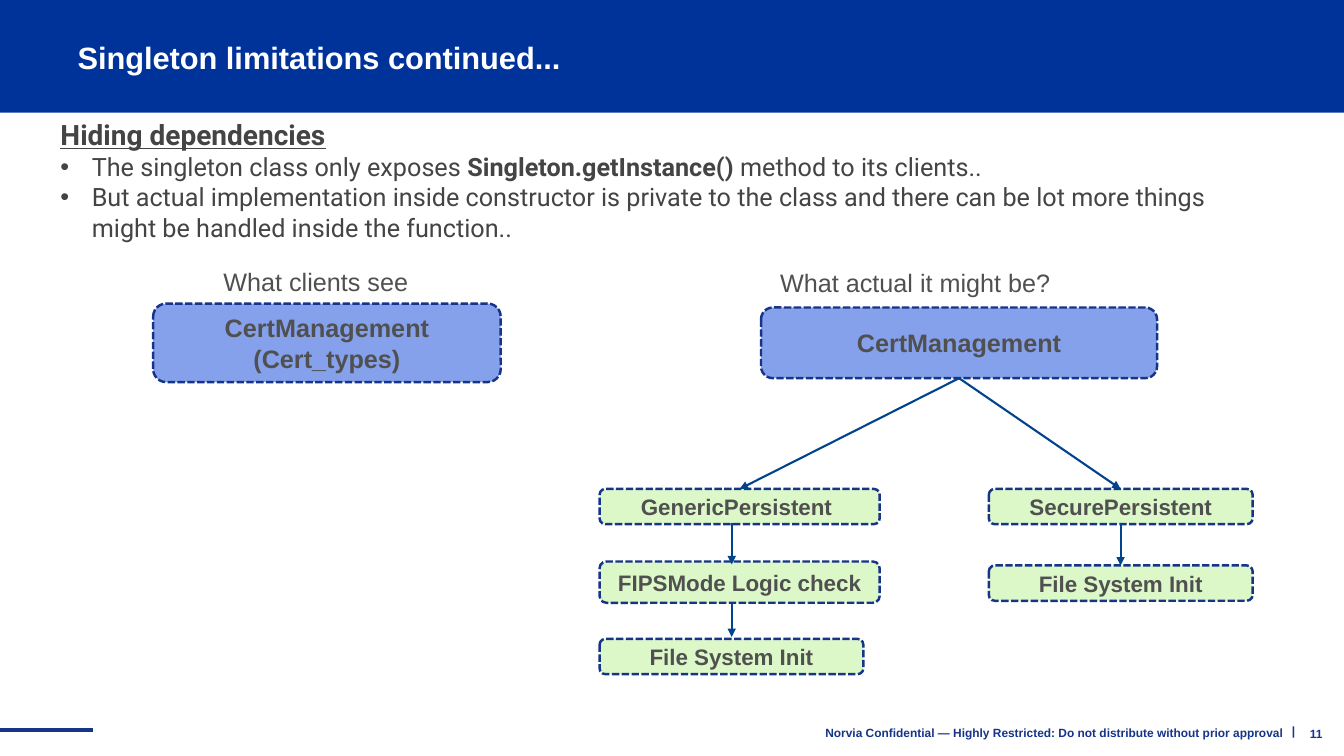
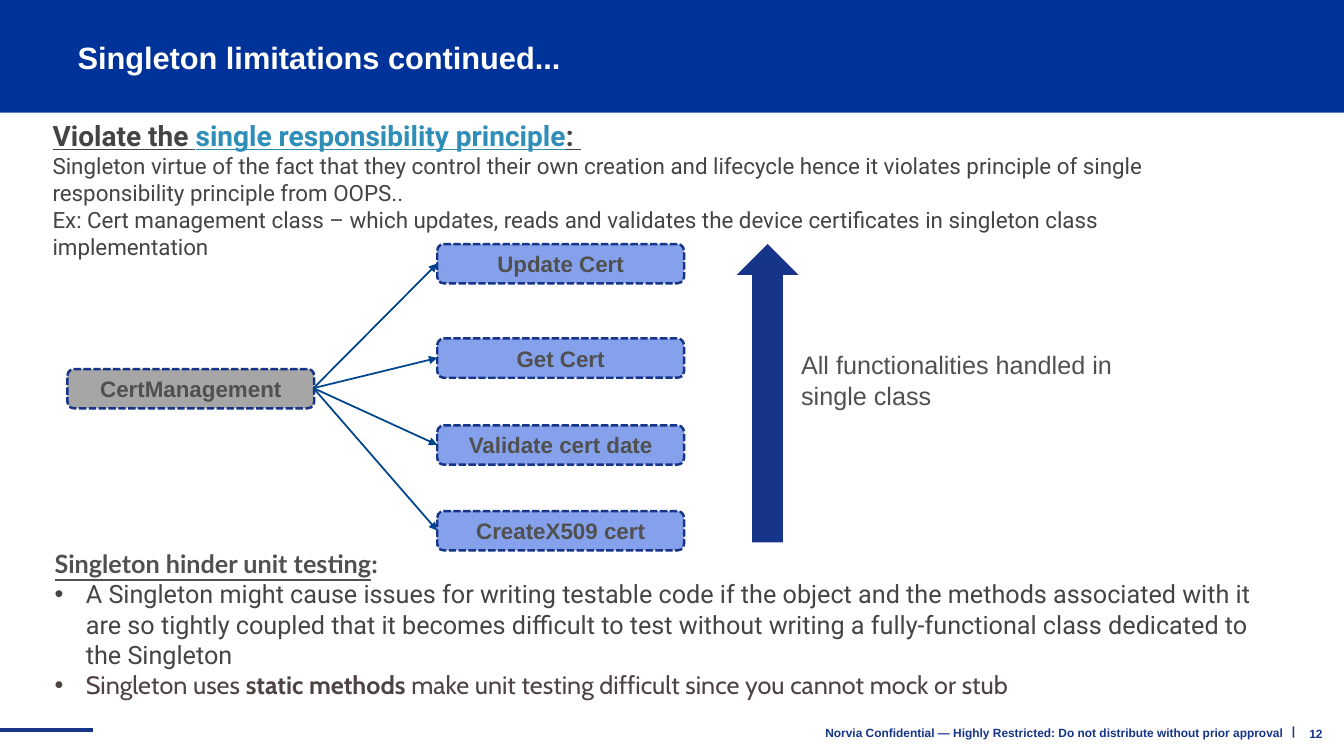
from lxml.etree import SubElement
from pptx import Presentation
from pptx.dml.color import RGBColor
from pptx.enum.dml import MSO_LINE
from pptx.enum.shapes import MSO_CONNECTOR, MSO_SHAPE
from pptx.enum.text import MSO_ANCHOR as ANCHOR, MSO_AUTO_SIZE, PP_ALIGN as ALIGN
from pptx.oxml.ns import qn
from pptx.util import Cm, Pt

COLORS = {
    "band": "003399", "navy": "163488", "arrow": "00448E", "white": "FFFFFF",
    "blue": "86A1EB", "green": "DCF7C8", "grey": "A6A6A6", "text": "505050",
    "body": "444444", "link": "2E8EB8", "brown": "4E4242",
}
RGB = {name: RGBColor.from_string(value) for name, value in COLORS.items()}

# Text formats
TITLE = {"name": "Arial", "size": Pt(22), "bold": True, "color": "white"}
FOOTER = {"name": "Arial", "size": Pt(8.5), "bold": True, "color": "navy"}
LABEL = {"name": "Arial", "size": Pt(18), "bold": False, "color": "text"}
BOX = {"name": "Arial", "size": Pt(16), "bold": True, "color": "text"}
BIG_BOX = {**BOX, "size": Pt(18)}
BODY = {"name": "Roboto", "size": Pt(18), "bold": False, "color": "body"}
SMALL = {**BODY, "size": Pt(16)}
HEAD = {**BODY, "size": Pt(20), "bold": True, "underline": True}
LATO = {**LABEL, "name": "Lato", "bold": True}
CABIN = {**BODY, "name": "Cabin", "color": "brown"}
BOLD = {"bold": True}
INDENT = Cm(0.79)


def write(tf, paragraphs, fmt, align=ALIGN.LEFT, anchor=ANCHOR.TOP, spacing=1.0):
    """Fill a frame; each paragraph is (has bullet, [(text, format changes)])."""
    tf.word_wrap = True
    tf.auto_size = MSO_AUTO_SIZE.NONE
    tf.vertical_anchor = anchor
    for i, (bullet, runs) in enumerate(paragraphs):
        p = tf.add_paragraph() if i else tf.paragraphs[0]
        p.alignment, p.line_spacing, p.space_before = align, spacing, Pt(0)
        pPr = p._p.get_or_add_pPr()
        pPr.set("marL", str(INDENT if bullet else 0))
        pPr.set("indent", str(-INDENT if bullet else 0))
        if bullet:
            SubElement(pPr, qn("a:buFont")).set("typeface", "Arial")
            SubElement(pPr, qn("a:buChar")).set("char", "•")
        else:
            SubElement(pPr, qn("a:buNone"))
        for text, changes in runs:
            r = p.add_run()
            r.text = text
            for key, value in {**fmt, **changes}.items():
                if key == "color":
                    r.font.color.rgb = RGB[value]
                else:
                    setattr(r.font, key, value)


def add_line(s, x1, y1, x2, y2, color, width, arrow=True):
    line = s.shapes.add_connector(
        MSO_CONNECTOR.STRAIGHT, Cm(x1), Cm(y1), Cm(x2), Cm(y2))
    line.line.color.rgb = RGB[color]
    line.line.width = Pt(width)
    spPr = line.element.spPr
    if arrow:
        SubElement(spPr.find(qn("a:ln")), qn("a:tailEnd")).set("type", "triangle")
    SubElement(spPr, qn("a:effectLst"))
    return line


# Contents: bodies (box, paragraphs), boxes (box, fill, format, lines),
# labels (box, text), arrows (x1, y1, x2, y2)
FUNCTIONS = {"Update Cert": 6.15, "Get Cert": 8.53,
             "Validate cert date": 10.72, "CreateX509 cert": 12.88}

PAGES = [
    {
        "number": "11", "layout": 1, "arrow_width": 1.5,
        "bodies": [((1.27, 2.84, 30.33, 4.19), [
            (False, [("Hiding dependencies", HEAD)]),
            (True, [("The singleton class only exposes ", {}),
                    ("Singleton.getInstance() ", BOLD),
                    ("method to its clients..", {})]),
            (True, [("But actual implementation inside constructor is private to the "
                     "class and there can be lot more things might be handled inside "
                     "the function..", {})]),
        ])],
        "boxes": [
            ((3.86, 7.65, 8.76, 1.98), "blue", BIG_BOX, ["CertManagement", "(Cert_types)"]),
            ((19.18, 7.75, 9.98, 1.78), "blue", BIG_BOX, ["CertManagement"]),
            ((15.11, 12.32, 7.06, 0.89), "green", BOX, ["GenericPersistent "]),
            ((15.11, 14.15, 7.06, 1.04), "green", BOX, ["FIPSMode Logic check"]),
            ((15.11, 16.1, 6.65, 0.89), "green", BOX, ["File System Init"]),
            ((24.92, 12.32, 6.65, 0.89), "green", BOX, ["SecurePersistent"]),
            ((24.92, 14.25, 6.65, 0.89), "green", BOX, ["File System Init"]),
        ],
        "labels": [((5.38, 6.58, 5.66, 1.02), "What clients see"),
                   ((19.41, 6.6, 7.34, 1.02), "What actual it might be?")],
        "arrows": [
            (24.17, 9.53, 18.64, 12.32), (24.17, 9.53, 28.24, 12.32),
            (28.24, 13.21, 28.24, 14.25), (18.44, 13.18, 18.44, 14.22),
            (18.44, 15.19, 18.44, 16.05),
        ],
    },
    {
        "number": "12", "layout": 3, "arrow_width": 1.25,
        "bodies": [
            ((1.07, 2.87, 30.86, 3.18), [
                (False, [("Violate the ", HEAD),
                         ("single responsibility principle", {**HEAD, "color": "link"}),
                         (": ", HEAD)]),
                (False, [("Singleton virtue of the fact that they control their own "
                          "creation and lifecycle hence it violates principle of single "
                          "responsibility principle from OOPS..", SMALL)]),
                (False, [("Ex: Cert management class – which updates, reads and validates "
                          "the device certificates in singleton class implementation",
                          SMALL)]),
            ]),
            ((1.12, 13.69, 30.86, 4.88), [
                (False, [("Singleton hinder unit testing", {**LATO, "underline": True}),
                         (": ", LATO)]),
                (True, [("A Singleton might cause issues for writing testable code if the "
                         "object and the methods associated with it are so tightly coupled "
                         "that it becomes difficult to test without writing a "
                         "fully-functional class dedicated to the Singleton", {})]),
                (True, [("Singleton uses ", CABIN),
                        ("static methods", {**CABIN, **BOLD}),
                        (" make unit testing difficult since you cannot mock or stub",
                         CABIN)]),
            ]),
        ],
        "boxes": [((1.7, 9.3, 6.22, 0.99), "grey", BOX, ["CertManagement"])]
        + [((11.02, y, 6.22, 0.99), "blue", BOX, [name]) for name, y in FUNCTIONS.items()],
        "labels": [((19.94, 8.69, 8.59, 1.8), "All functionalities handled in single class")],
        "arrows": [(7.9, 9.78, 11.02, y + 0.49) for y in FUNCTIONS.values()],
    },
]

prs = Presentation()
prs.slide_width, prs.slide_height = Cm(33.87), Cm(19.05)

for page in PAGES:
    s = prs.slides.add_slide(prs.slide_layouts[page["layout"]])

    # Band, rule and footer: drawn once, then moved to the slide master
    if page is PAGES[0]:
        band = s.shapes.add_shape(MSO_SHAPE.RECTANGLE, 0, 0, prs.slide_width, Cm(2.84))
        band.shadow.inherit = False
        band.fill.solid()
        band.fill.fore_color.rgb = RGB["band"]
        band.line.fill.background()
        rule = add_line(s, 0, 18.39, 2.34, 18.39, "navy", 3, arrow=False)
        shared = [band, rule]
        for box, text, align in [
            ((32.28, 17.91, 0.64, 1.02), "|", ALIGN.CENTER),
            ((15.85, 17.98, 16.74, 0.99),
             "Norvia Confidential — Highly Restricted: Do not distribute without "
             "prior approval", ALIGN.RIGHT),
        ]:
            sp = s.shapes.add_textbox(*map(Cm, box))
            write(sp.text_frame, [(False, [(text, {})])], FOOTER, align, ANCHOR.MIDDLE)
            shared.append(sp)
        tree = prs.slide_master.shapes.element
        for i, sp in enumerate(shared):
            sp.element.xpath(".//p:cNvPr")[0].set("id", str(101 + i))
            tree.insert(2 + i, sp.element)

    # Title and slide number
    title = s.shapes.title
    title.left, title.top, title.width, title.height = map(Cm, (1.7, 0.71, 13.11, 1.57))
    write(title.text_frame, [(False, [("Singleton limitations continued...", {})])],
          TITLE, anchor=ANCHOR.MIDDLE, spacing=0.9)
    number = s.shapes.add_textbox(*map(Cm, (31.98, 17.98, 1.6, 1.02)))
    write(number.text_frame, [(False, [(page["number"], {})])],
          FOOTER, ALIGN.RIGHT, ANCHOR.MIDDLE)

    # Body text
    bodies = [ph for ph in s.placeholders if ph.placeholder_format.idx > 0]
    for ph, (box, paragraphs) in zip(bodies, page["bodies"]):
        ph.left, ph.top, ph.width, ph.height = map(Cm, box)
        write(ph.text_frame, paragraphs, BODY)

    # Diagram boxes
    for box, fill, fmt, lines in page["boxes"]:
        sp = s.shapes.add_shape(MSO_SHAPE.ROUNDED_RECTANGLE, *map(Cm, box))
        sp.shadow.inherit = False
        sp.fill.solid()
        sp.fill.fore_color.rgb = RGB[fill]
        sp.line.color.rgb = RGB["navy"]
        sp.line.width = Pt(1.75)
        sp.line.dash_style = MSO_LINE.SQUARE_DOT
        write(sp.text_frame, [(False, [(text, {})]) for text in lines],
              fmt, ALIGN.CENTER, ANCHOR.MIDDLE)

    # Labels and arrows
    for box, text in page["labels"]:
        sp = s.shapes.add_textbox(*map(Cm, box))
        write(sp.text_frame, [(False, [(text, {})])], LABEL)
    for ends in page["arrows"]:
        add_line(s, *ends, "arrow", page["arrow_width"])

# Block arrow beside the functions on the last slide
up = s.shapes.add_shape(MSO_SHAPE.UP_ARROW, *map(Cm, (18.57, 6.15, 1.55, 7.52)))
up.shadow.inherit = False
up.fill.solid()
up.fill.fore_color.rgb = RGB["navy"]
up.line.fill.background()

prs.save("out.pptx")
